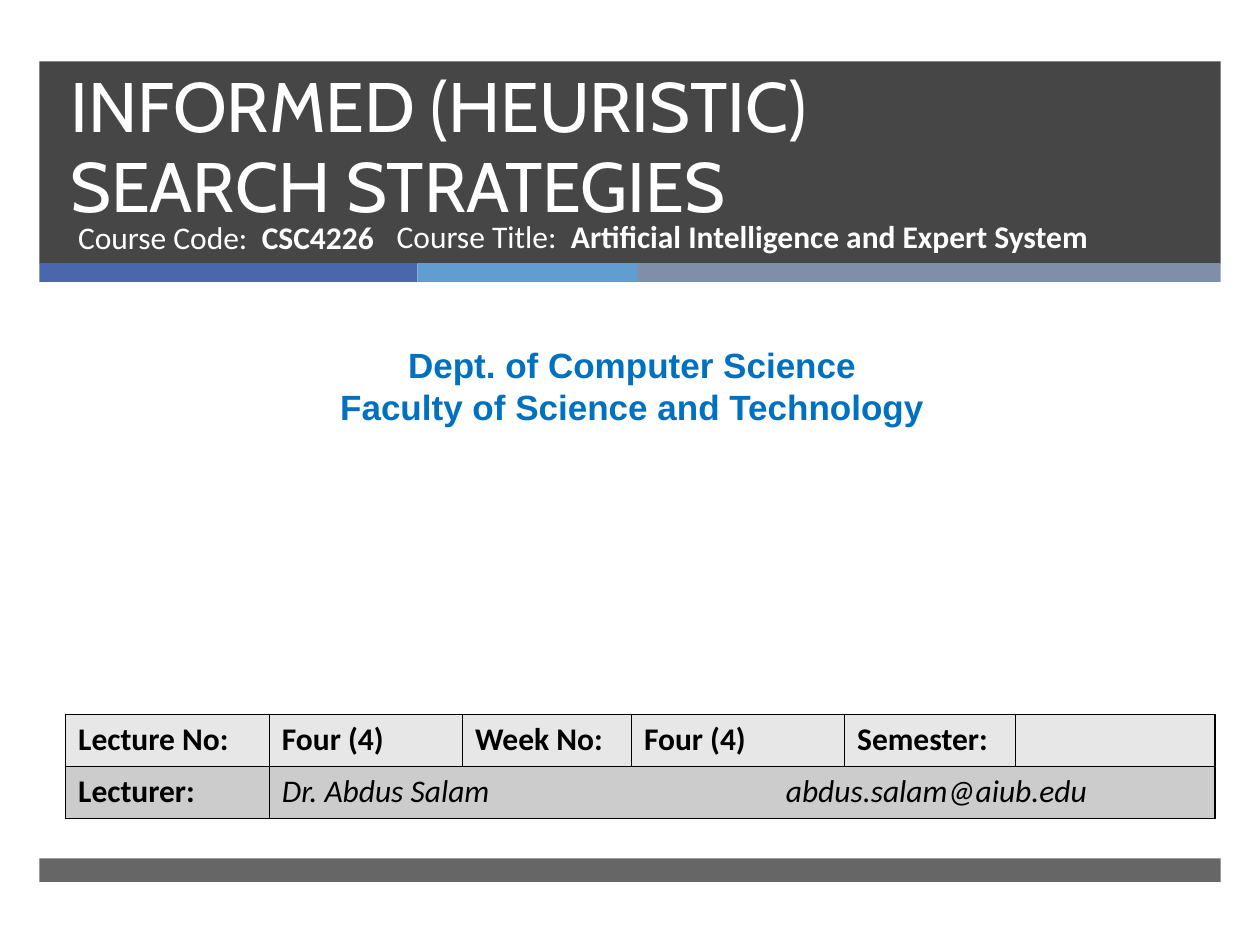
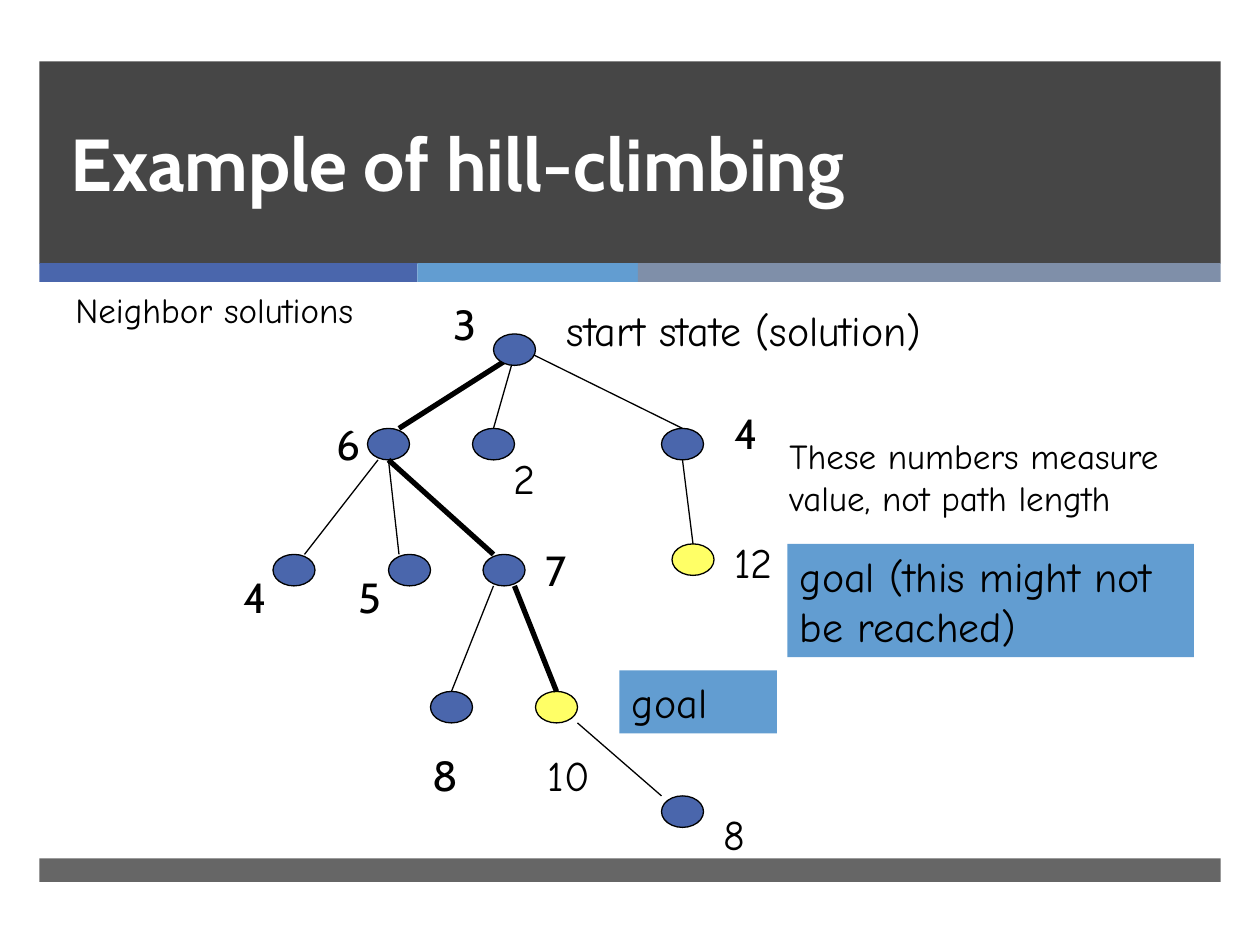
"""Build two lecture slides on informed search and hill-climbing."""
from itertools import accumulate

from lxml import etree
from pptx import Presentation
from pptx import util as u
from pptx.dml.color import RGBColor
from pptx.enum import shapes, text
from pptx.oxml import ns

CHARCOAL = RGBColor(0x26, 0x26, 0x26)
BLUE = RGBColor(0x4A, 0x66, 0xAC)
SKY = RGBColor(0x62, 0x9D, 0xD1)
SLATE = RGBColor(0x7F, 0x8F, 0xA9)
DEPARTMENT = RGBColor(0x00, 0x70, 0xC0)
YELLOW = RGBColor(0xFF, 0xFF, 0x66)
BLACK = RGBColor(0, 0, 0)
WHITE = RGBColor(0xFF, 0xFF, 0xFF)
LIGHT_ROW = RGBColor(0xE7, 0xE7, 0xE7)
DARK_ROW = RGBColor(0xCC, 0xCC, 0xCC)

COLUMNS, ROWS = 120, 90
NODE_WIDTH, NODE_HEIGHT = 4, 3
THIN, THICK = 0.75, 3

TITLE = {"name": "Cabin", "size": u.Pt(40), "color": WHITE}
COURSE = {"name": "Calibri", "size": u.Pt(18), "color": WHITE}
CELL = {**COURSE, "color": BLACK}
NOTE = {"name": "Comic Neue", "size": u.Pt(20), "color": BLACK}
STATE = {**NOTE, "size": u.Pt(24)}
CLIMB = {**STATE, "name": "Cabin"}
BOLD = {"bold": True}

NODES = {
    "start": (47, 31.8, BLUE),
    "left": (35, 40.8, BLUE),
    "middle": (45, 40.8, BLUE),
    "right": (63, 40.8, BLUE),
    "left four": (26, 52.8, BLUE),
    "left five": (37, 52.8, BLUE),
    "left seven": (46, 52.8, BLUE),
    "far goal": (64, 51.8, YELLOW),
    "eight": (41, 65.85, BLUE),
    "goal": (51, 65.85, YELLOW),
    "last": (63, 75.8, BLUE),
}
EDGES = [
    ("start", 2, 2, "left", 3, THICK),
    ("start", 2, 2, "middle", 2, THIN),
    ("start", 2, 1.1, "right", 2, THIN),
    ("left", 1, 3, "left four", 3, THIN),
    ("left", 2, 3, "left five", 1, THIN),
    ("left", 2, 3, "left seven", 1, THICK),
    ("left seven", 1, 3, "eight", 2, THIN),
    ("left seven", 3, 3, "goal", 2, THICK),
    ("right", 2, 3, "far goal", 2, THIN),
    ("goal", 4, 3, "last", 0, THIN),
]
VALUES = [
    ("3", 42, 27.85, CLIMB), ("6", 30.85, 39.25, CLIMB),
    ("2", 47.75, 42.5, STATE), ("4", 68.75, 38.25, CLIMB),
    ("4", 22, 53.85, CLIMB), ("5", 33, 53.85, CLIMB),
    ("7", 50.75, 51.25, CLIMB), ("12", 68.75, 50.5, STATE),
    ("8", 40, 70.8, CLIMB), ("10", 51, 70.8, STATE),
    ("8", 67.75, 76.4, STATE),
]


class Deck:
    """Hold the presentation, its grid and style, and the current slide."""

    def __init__(self):
        self.presentation = Presentation()
        self.presentation.slide_width = u.Inches(10)
        self.presentation.slide_height = u.Inches(7.5)
        self.layout = self.presentation.slide_layouts[5]
        self.slide = None

    def x(self, columns):
        return round(self.presentation.slide_width * columns / COLUMNS)

    def y(self, rows):
        return round(self.presentation.slide_height * rows / ROWS)

    def box(self, left, top, width, height):
        return self.x(left), self.y(top), self.x(width), self.y(height)

    def style(self, font, values):
        for key, value in values.items():
            if key == "color":
                font.color.rgb = value
            else:
                setattr(font, key, value)

    def fill_frame(self, frame, paragraphs, style, align="LEFT", tab=None):
        frame.word_wrap = True
        for index, runs in enumerate(paragraphs):
            paragraph = frame.add_paragraph() if index else frame.paragraphs[0]
            paragraph.alignment = getattr(text.PP_ALIGN, align)
            if tab:
                properties = paragraph._p.get_or_add_pPr()
                stops = etree.SubElement(properties, ns.qn("a:tabLst"))
                etree.SubElement(stops, ns.qn("a:tab"), pos=str(self.x(tab)), algn="l")
            for words, changes in runs:
                for number, line in enumerate(words.split("\n")):
                    if number:
                        paragraph.add_line_break()
                    run = paragraph.add_run()
                    run.text = line
                    self.style(run.font, {**style, **changes})

    def new_slide(self, title, top, **changes):
        self.slide = self.presentation.slides.add_slide(self.layout)
        shape = self.slide.shapes.title
        place = zip(("left", "top", "width", "height"), self.box(5.5, top, 102.5, 14.3))
        for key, value in place:
            setattr(shape, key, value)
        frame = shape.text_frame
        self.fill_frame(frame, [[(title, changes)]], TITLE)
        frame.auto_size = text.MSO_AUTO_SIZE.NONE
        frame.vertical_anchor = text.MSO_ANCHOR.BOTTOM
        frame.paragraphs[0].line_spacing = u.Pt(46)

    def text(self, place, paragraphs, style, **options):
        shape = self.slide.shapes.add_textbox(*self.box(*place))
        self.fill_frame(shape.text_frame, paragraphs, style, **options)

    def shape(self, kind, place, color, line=None, opacity=None):
        shape = self.slide.shapes.add_shape(kind, *self.box(*place))
        shape.shadow.inherit = False
        shape.fill.solid()
        shape.fill.fore_color.rgb = color
        if opacity:
            fill = shape.element.spPr.find(".//" + ns.qn("a:srgbClr"))
            etree.SubElement(fill, ns.qn("a:alpha"), val=str(opacity * 1000))
        if line:
            shape.line.color.rgb = BLACK
            shape.line.width = u.Pt(line)
        else:
            shape.line.fill.background()
        return shape

    def band(self, place, color, opacity=None):
        """Draw a band and move it to the shared layout."""
        shape = self.shape(shapes.MSO_SHAPE.RECTANGLE, place, color, opacity=opacity)
        self.layout.shapes.element.append(shape.element)

    def callout(self, place, paragraphs):
        shape = self.shape(shapes.MSO_SHAPE.RECTANGLE, place, SKY)
        shape.text_frame.vertical_anchor = text.MSO_ANCHOR.TOP
        self.fill_frame(shape.text_frame, paragraphs, STATE)

    def node(self, name):
        left, top, color = NODES[name]
        place = (left, top, NODE_WIDTH, NODE_HEIGHT)
        return self.shape(shapes.MSO_SHAPE.OVAL, place, color, line=THIN)

    def edge(self, parent, right, down, child, end, width, target):
        left, top, _ = NODES[parent]
        child_left, child_top, _ = NODES[child]
        connector = self.slide.shapes.add_connector(
            shapes.MSO_CONNECTOR.STRAIGHT, self.x(left + right), self.y(top + down),
            self.x(child_left + end), self.y(child_top))
        connector.line.color.rgb = BLACK
        connector.line.width = u.Pt(width)
        etree.SubElement(connector.element.spPr, ns.qn("a:effectLst"))
        if end == NODE_WIDTH / 2:
            connector.end_connect(target, 0)

    def cell(self, cell, color, words, changes, tab=None):
        properties = cell._tc.get_or_add_tcPr()
        for side in ("lnL", "lnR", "lnT", "lnB"):
            border = etree.SubElement(properties, ns.qn("a:" + side), w=str(u.Pt(1)))
            fill = etree.SubElement(border, ns.qn("a:solidFill"))
            etree.SubElement(fill, ns.qn("a:srgbClr"), val=str(BLACK))
        cell.fill.solid()
        cell.fill.fore_color.rgb = color
        if words:
            self.fill_frame(cell.text_frame, [[(words, changes)]], CELL, tab=tab)

    def table(self, left, top, widths, height, rows, colors):
        place = self.box(left, top, sum(widths), height * len(rows))
        table = self.slide.shapes.add_table(len(rows), len(widths), *place).table
        table.first_row = table.horz_banding = False
        for column, width in zip(table.columns, widths):
            column.width = self.x(width)
        for row in table.rows:
            row.height = self.y(height)
        for row, (entries, color) in enumerate(zip(rows, colors)):
            for column in range(len(widths)):
                words, changes = entries[column] if column < len(entries) else ("", {})
                tab = 48 if "\t" in words else None
                self.cell(table.cell(row, column), color, words, changes, tab)
        return table


def add_bands(deck):
    deck.band((3.75, 5.85, 112.5, 19.25), CHARCOAL, opacity=85)
    widths = (36, 21, 55.5)
    lefts = accumulate(widths, initial=3.75)
    for left, width, color in zip(lefts, widths, (BLUE, SKY, SLATE)):
        deck.band((left, 25.05, width, 1.8), color)
    deck.band((3.75, 81.75, 112.5, 2.25), CHARCOAL, opacity=70)


def build_cover(deck):
    deck.new_slide("INFORMED (HEURISTIC)\nSEARCH STRATEGIES", 7.9)
    add_bands(deck)
    deck.text((6.25, 20.15, 36.6, 6.4),
              [[("Course Code:\t", {}), ("CSC4226", BOLD)]], COURSE, tab=17.5)
    deck.text((1, 32.15, 118.4, 9.25),
              [[("Dept. of Computer Science", {})],
               [("Faculty of Science and Technology", {})]],
              {"name": "Arial", "size": u.Pt(20), "color": DEPARTMENT, **BOLD},
              align="CENTER")
    lecture = ("Lecture No:", "Four (4)", "Week No:", "Four (4)", "Semester:")
    rows = [[(words, BOLD) for words in lecture],
            [("Lecturer:", BOLD),
             ("Dr. Abdus Salam\tabdus.salam@aiub.edu", {"bold": False, "italic": True})]]
    table = deck.table(6.25, 68.05, (19.4, 18.4, 16.1, 20.3, 16.3, 19), 4.95,
                       rows, (LIGHT_ROW, DARK_ROW))
    table.cell(1, 1).merge(table.cell(1, 5))
    deck.text((36.6, 20.05, 68.6, 6.4),
              [[("Course Title:\t", {}),
                ("Artificial Intelligence and Expert System", BOLD)]], COURSE, tab=16.6)


def build_hill_climbing(deck):
    deck.new_slide("Example of hill-climbing", 5.9, size=u.Pt(42), **BOLD)
    nodes = {name: deck.node(name) for name in NODES if name != "start"}
    for edge in EDGES:
        deck.edge(*edge, target=nodes[edge[3]])
    deck.node("start")
    for value, left, top, style in VALUES:
        deck.text((left, top, 2.6 + 2 * len(value), 6), [[(value, {})]], style)
    deck.callout((75, 51.8, 38.7, 10.8),
                 [[("goal (this might not", {})], [("be reached)", {})]])
    deck.callout((59, 63.85, 15, 6), [[("goal", {})]])
    deck.text((52.8, 28.4, 41.8, 6), [[("start state (solution)", {})]], STATE)
    deck.text((74, 40.8, 40, 9.25),
              [[("These numbers measure", {})], [("value, not path length", {})]], NOTE)
    deck.text((6, 26.85, 31.5, 5.2), [[("Neighbor solutions", {})]], NOTE)


def main():
    deck = Deck()
    build_cover(deck)
    build_hill_climbing(deck)
    deck.presentation.save("out.pptx")


if __name__ == "__main__":
    main()
